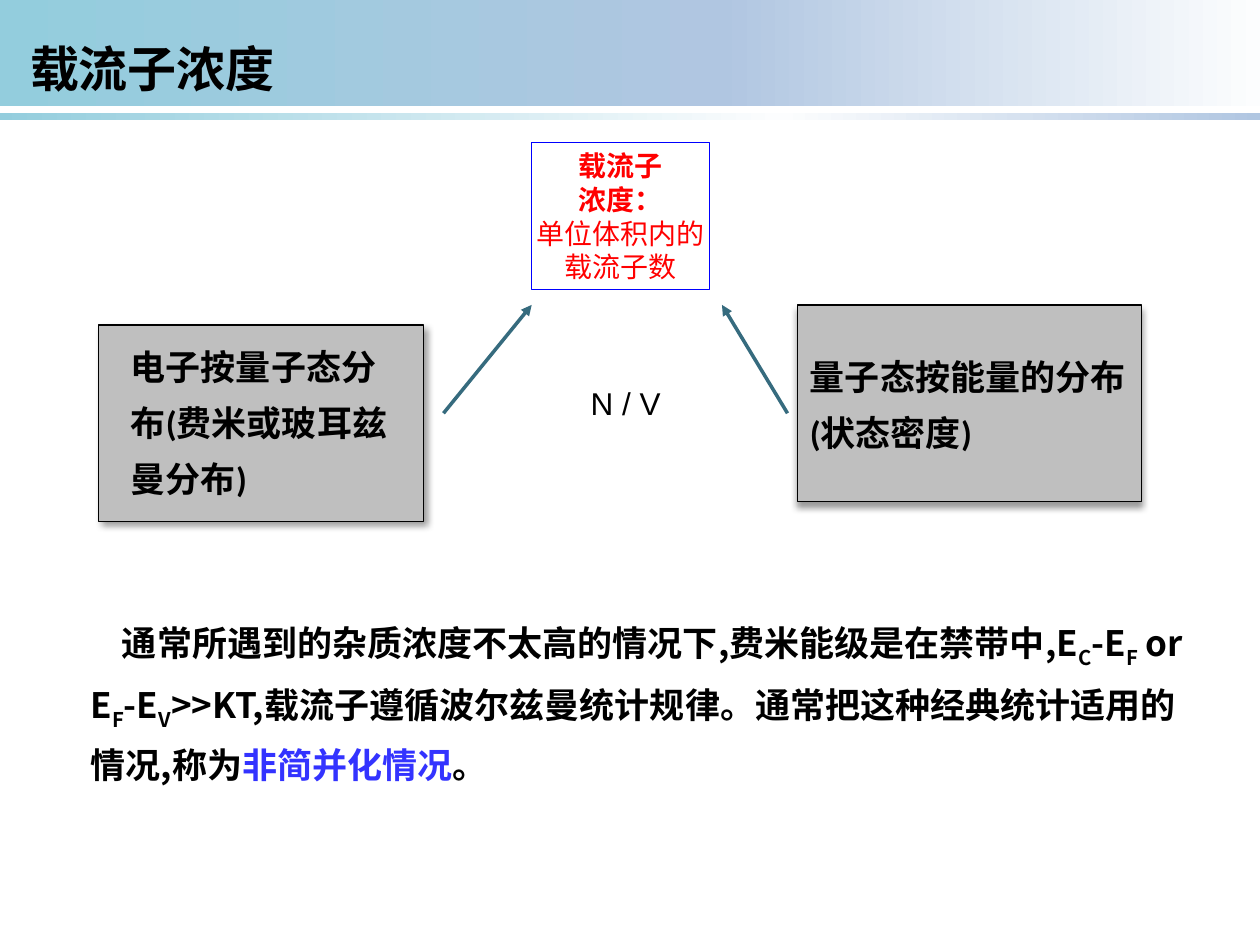
"""Build the carrier concentration slide."""
from lxml.etree import SubElement
from pptx import Presentation
from pptx.dml.color import RGBColor
from pptx.enum.shapes import MSO_CONNECTOR as Connector, MSO_SHAPE as Shape
from pptx.enum.text import MSO_ANCHOR as Anchor, PP_ALIGN as Align
from pptx.oxml.ns import qn
from pptx.util import Inches, Pt

BLACK = RGBColor(0x00, 0x00, 0x00)
RED = RGBColor(0xFF, 0x00, 0x00)
BLUE = RGBColor(0x00, 0x00, 0xFF)
VIOLET = RGBColor(0x33, 0x33, 0xFF)
GRAY = RGBColor(0xBF, 0xBF, 0xBF)
TEAL = RGBColor(0x36, 0x6B, 0x7E)
AQUA = RGBColor(0x93, 0xCD, 0xDD)
STEEL = RGBColor(0xB0, 0xC6, 0xE1)
PALE = RGBColor(0xFC, 0xFD, 0xFE)
CJK_FONT = "Noto Sans CJK SC"


def add_element(parent, tag, **attributes):
    element = SubElement(parent, qn(tag))
    for name, value in attributes.items():
        element.set(name, str(value))
    return element


class SlideBuilder:
    def __init__(self, slide):
        self.slide = slide

    def rectangle(self, left, top, width, height, fill=None, line=None, line_width=0.75):
        shape = self.slide.shapes.add_shape(
            Shape.RECTANGLE, Inches(left), Inches(top), Inches(width), Inches(height))
        shape.shadow.inherit = False
        if fill is None:
            shape.fill.background()
        else:
            shape.fill.solid()
            shape.fill.fore_color.rgb = fill
        if line is None:
            shape.line.fill.background()
        else:
            shape.line.color.rgb = line
            shape.line.width = Pt(line_width)
        return shape

    def band(self, left, top, width, height, stops):
        shape = self.rectangle(left, top, width, height)
        shape.fill.gradient()
        shape.fill.gradient_angle = 0
        stop_list = shape._element.spPr.find(qn("a:gradFill")).find(qn("a:gsLst"))
        for stop in list(stop_list):
            stop_list.remove(stop)
        for position, color in stops:
            stop = add_element(stop_list, "a:gs", pos=position * 1000)
            add_element(stop, "a:srgbClr", val=color)

    def panel(self, left, top, width, height, shadow_angle):
        shape = self.rectangle(left, top, width, height, GRAY, BLACK)
        effects = shape._element.spPr.find(qn("a:effectLst"))
        shadow = add_element(effects, "a:outerShdw", blurRad=Pt(4), dist=Pt(3),
                             dir=shadow_angle * 60000, rotWithShape=0)
        color = add_element(shadow, "a:srgbClr", val=BLACK)
        add_element(color, "a:alpha", val=40000)

    def arrow(self, start, end):
        connector = self.slide.shapes.add_connector(
            Connector.STRAIGHT, *map(Inches, start + end))
        connector.line.color.rgb = TEAL
        connector.line.width = Pt(2)
        add_element(connector.line._get_or_add_ln(), "a:tailEnd", type="triangle")
        add_element(connector._element.spPr, "a:effectLst")

    def text_box(self, left, top, width, height, wrap=True):
        box = self.slide.shapes.add_textbox(
            Inches(left), Inches(top), Inches(width), Inches(height))
        box.text_frame.word_wrap = wrap
        return box.text_frame.paragraphs[0]

    def run(self, paragraph, text, size, font=CJK_FONT, color=BLACK, bold=True, baseline=0):
        run = paragraph.add_run()
        run.text = text
        run.font.size = Pt(size)
        run.font.name = font
        run.font.bold = bold
        run.font.color.rgb = color
        properties = run.font._element
        add_element(properties, "a:ea", typeface=CJK_FONT)
        if baseline:
            properties.set("baseline", str(baseline * 1000))


def main():
    presentation = Presentation()
    presentation.slide_width, presentation.slide_height = Inches(10), Inches(7.5)
    builder = SlideBuilder(presentation.slides.add_slide(presentation.slide_layouts[6]))

    builder.band(-0.02, 0.9, 10.02, 0.05, [(0, AQUA), (62, PALE), (100, STEEL)])
    builder.band(0, -0.02, 10, 0.86, [(0, AQUA), (57, STEEL), (100, PALE)])
    builder.panel(6.33, 2.42, 2.73, 1.56, 90)
    builder.panel(0.78, 2.58, 2.58, 1.56, 45)

    definition = builder.rectangle(4.22, 1.13, 1.41, 1.17, line=BLUE, line_width=0.5)
    frame = definition.text_frame
    frame.word_wrap = True
    frame.vertical_anchor = Anchor.MIDDLE
    frame.margin_left = frame.margin_right = frame.margin_top = frame.margin_bottom = 0
    lines = [("载流子", True), ("浓度：", True), ("单位体积内的载流子数", False)]
    for index, (text, bold) in enumerate(lines):
        paragraph = frame.add_paragraph() if index else frame.paragraphs[0]
        paragraph.alignment = Align.CENTER
        builder.run(paragraph, text, 16, color=RED, bold=bold)

    builder.arrow((3.52, 3.28), (4.22, 2.42))
    builder.arrow((6.25, 3.28), (5.73, 2.42))

    for place, text in [
        ((0.94, 2.58, 2.42, 1.4), "电子按量子态分布(费米或玻耳兹曼分布)"),
        ((6.33, 2.66, 2.73, 0.95), "量子态按能量的分布(状态密度)"),
    ]:
        paragraph = builder.text_box(*place)
        paragraph.line_spacing = Pt(32)
        builder.run(paragraph, text, 20, "Calibri")

    builder.run(builder.text_box(0.14, 0.26, 2.17, 0.57, wrap=False), "载流子浓度", 28)

    summary = builder.text_box(0.62, 4.77, 9.06, 1.41)
    summary.line_spacing = 1.3
    summary.space_before = Pt(4)
    summary._p.get_or_add_pPr().set("indent", str(Inches(0.25)))
    for text, baseline, color in [
        ("通常所遇到的杂质浓度不太高的情况下,费米能级是在禁带中,E", 0, BLACK),
        ("C", -25, BLACK),
        ("-E", 0, BLACK),
        ("F", -25, BLACK),
        (" or E", 0, BLACK),
        ("F", -25, BLACK),
        ("-E", 0, BLACK),
        ("V", -25, BLACK),
        (">>KT,载流子遵循波尔兹曼统计规律。通常把这种经典统计适用的情况,称为", 0, BLACK),
        ("非简并化情况", 0, VIOLET),
        ("。", 0, BLACK),
    ]:
        builder.run(summary, text, 20, color=color, baseline=baseline)

    ratio = builder.text_box(4.59, 3, 0.76, 0.4, wrap=False)
    builder.run(ratio, "N / V", 18, "Arial", bold=False)

    presentation.save("out.pptx")


if __name__ == "__main__":
    main()
